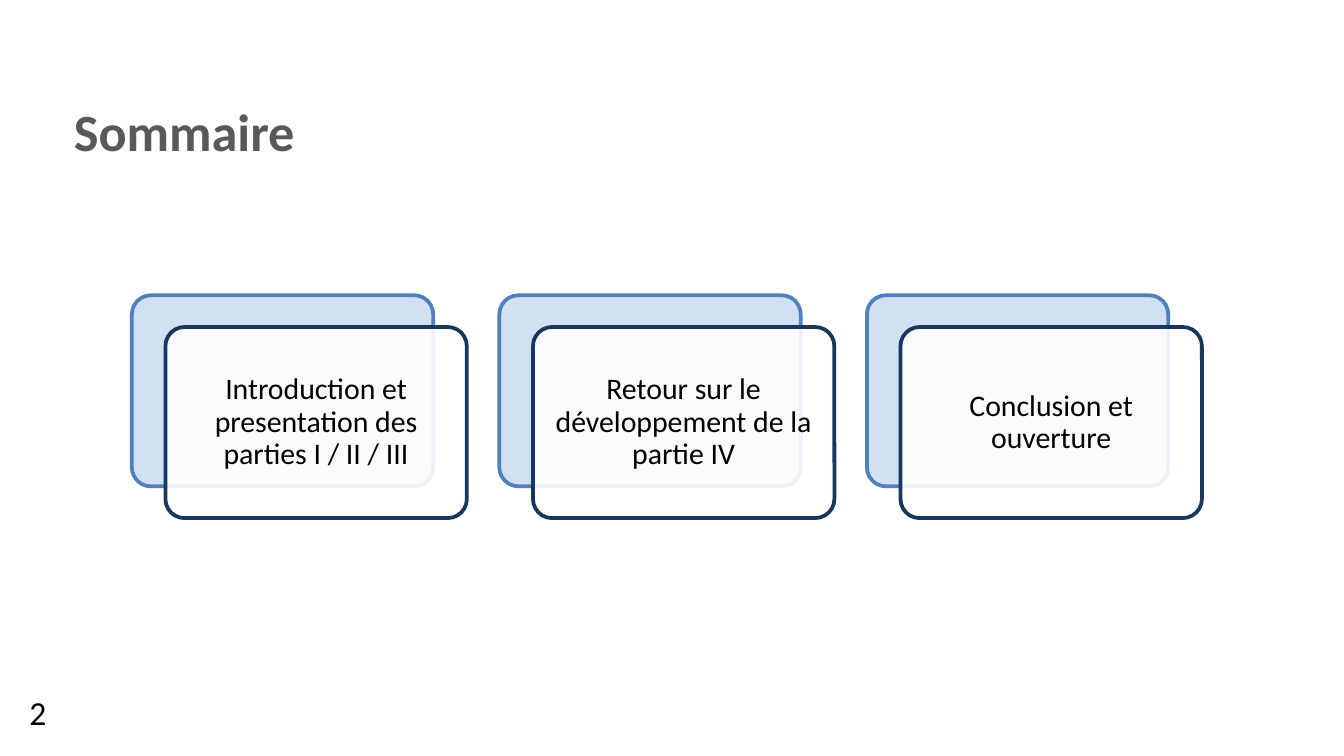
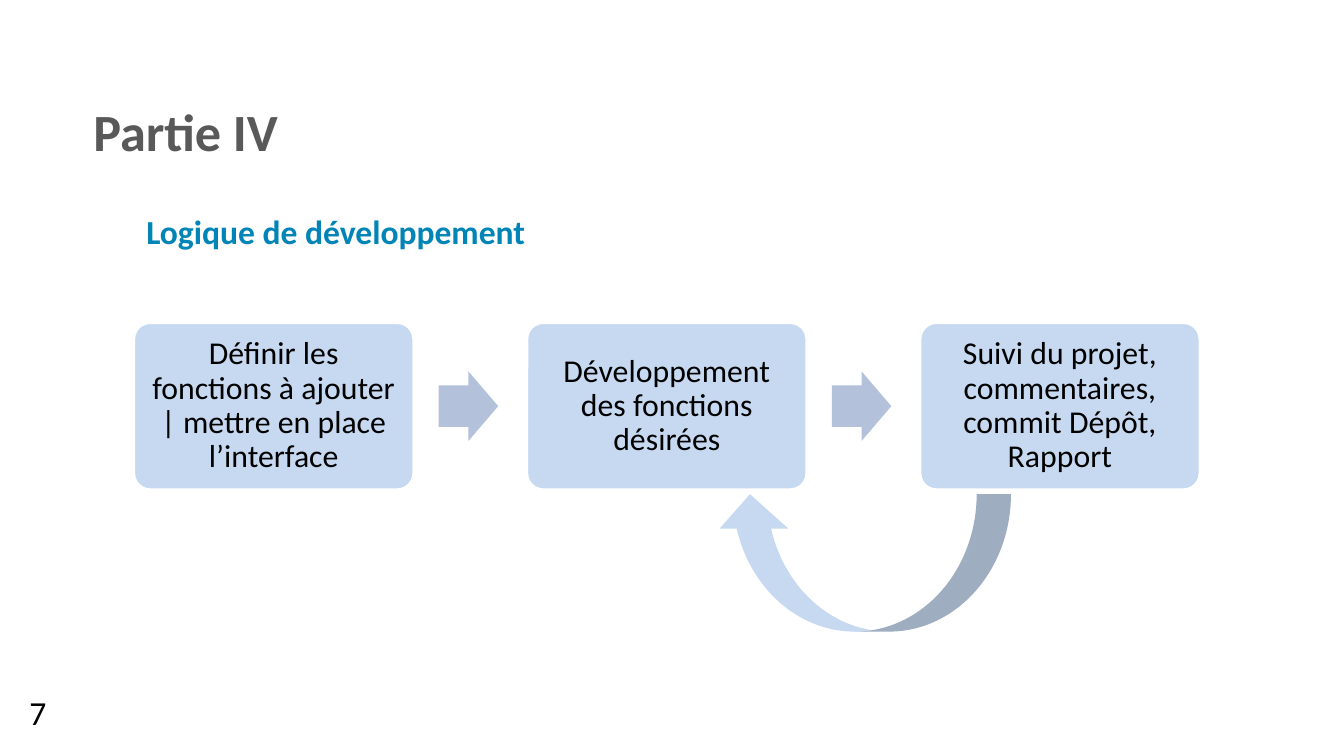
from pptx import Presentation
from pptx.dml.color import RGBColor
from pptx.enum.shapes import MSO_SHAPE
from pptx.enum.text import MSO_ANCHOR, MSO_AUTO_SIZE, PP_ALIGN
from pptx.oxml.ns import qn
from pptx.util import Pt
from lxml.etree import SubElement

# Shared style
FONT = "Calibri"
BLACK, WHITE, GREY = "000000", "FFFFFF", "595959"
PALE, BLUE, NAVY = "C6D9F1", "4F81BD", "17375E"
TEAL, MIST = "0085B6", "B3C1DB"


def paint(target, color):
    """Give a fill, or the fill of a line, one solid colour."""
    target.solid()
    target.fore_color.rgb = RGBColor.from_string(color)


def fade(shape, percent):
    """Set the opacity of a solid fill."""
    color = shape._element.spPr.find(qn("a:solidFill"))[0]
    SubElement(color, qn("a:alpha")).set("val", str(percent * 1000))


def write(frame, text, size, color=BLACK, bold=False, align=PP_ALIGN.LEFT):
    para = frame.paragraphs[0]
    para.alignment = align
    run = para.add_run()
    run.text = text
    font = run.font
    font.name, font.size, font.bold = FONT, Pt(size), bold
    font.color.rgb = RGBColor.from_string(color)
    return para


def add_label(slide, text, box, size=18, wrap=False, **style):
    frame = slide.shapes.add_textbox(*map(Pt, box)).text_frame
    frame.word_wrap = wrap
    frame.auto_size = MSO_AUTO_SIZE.SHAPE_TO_FIT_TEXT
    write(frame, text, size, **style)


def add_form(slide, kind, box, fill, line=None, adjust=()):
    shape = slide.shapes.add_shape(kind, *map(Pt, box))
    shape.shadow.inherit = False
    paint(shape.fill, fill)
    if line:
        paint(shape.line.fill, line)
        shape.line.width = Pt(2)
    else:
        shape.line.fill.background()
    for i, value in enumerate(adjust):
        shape.adjustments[i] = value
    return shape


def add_card(slide, box, fill, line):
    return add_form(slide, MSO_SHAPE.ROUNDED_RECTANGLE, box, fill, line, [0.1])


def fill_card(card, text, size):
    frame = card.text_frame
    frame.word_wrap = True
    frame.vertical_anchor = MSO_ANCHOR.MIDDLE
    frame.margin_left = frame.margin_right = Pt(5)
    frame.margin_top = frame.margin_bottom = Pt(5)
    write(frame, text, size, align=PP_ALIGN.CENTER).line_spacing = 0.9


def add_page(deck, title, left, width, number):
    """Add a blank slide with its title and page number."""
    slide = deck.slides.add_slide(deck.slide_layouts[6])
    add_label(slide, title, (left, 49.7, width, 41), 28,
              color=GREY, bold=True, align=PP_ALIGN.CENTER)
    add_label(slide, number, (8.6, 367.2, 34, 29), wrap=True)
    return slide


def add_stacks(slide, texts):
    """Pairs of cards, the front one shifted down and right."""
    left, top, wide, high, step = 70.6, 158.2, 161.5, 102.4, 196.9
    for i, text in enumerate(texts):
        x = left + i * step
        back = add_card(slide, (x, top, wide, high), PALE, BLUE)
        fade(back, 80)
        front = add_card(slide, (x + 18, top + 17, wide, high), WHITE, NAVY)
        fade(front, 90)
        fill_card(front, text, 16)


def add_steps(slide, texts):
    """A row of cards with an arrow between neighbours."""
    left, top, wide, high, step = 71.4, 172.6, 150.5, 90, 210.6
    tip_wide, tip_high, gap = 31.9, 37.3, 13.1
    for i, text in enumerate(texts):
        x = left + i * step
        card = add_card(slide, (x, top, wide, high), PALE, WHITE)
        fill_card(card, text, 17)
        if i < len(texts) - 1:
            box = (x + wide + gap, top + (high - tip_high) / 2,
                   tip_wide, tip_high)
            add_form(slide, MSO_SHAPE.RIGHT_ARROW, box, MIST,
                     adjust=[0.6, 0.5])


def main():
    deck = Presentation()
    deck.slide_width, deck.slide_height = Pt(720), Pt(405)

    # Contents
    slide = add_page(deck, "Sommaire", 31.7, 134, "2")
    add_stacks(slide, [
        "Introduction et presentation des parties I / II / III",
        "Retour sur le développement de la partie IV",
        "Conclusion et ouverture",
    ])

    # Work flow, with a loop back to the second step
    slide = add_page(deck, "Partie IV", 41.8, 115.2, "7")
    add_label(slide, "Logique de développement", (71.3, 109.4, 219, 29),
              color=TEAL, bold=True)
    add_steps(slide, [
        "Définir les fonctions à ajouter | mettre en place l’interface",
        "Développement des fonctions désirées",
        "Suivi du projet, commentaires, commit Dépôt, Rapport",
    ])
    loop = add_form(slide, MSO_SHAPE.CURVED_LEFT_ARROW,
                    (425.7, 222.5, 73.6, 158.2), PALE)
    loop.rotation = 90

    deck.save("out.pptx")


if __name__ == "__main__":
    main()
